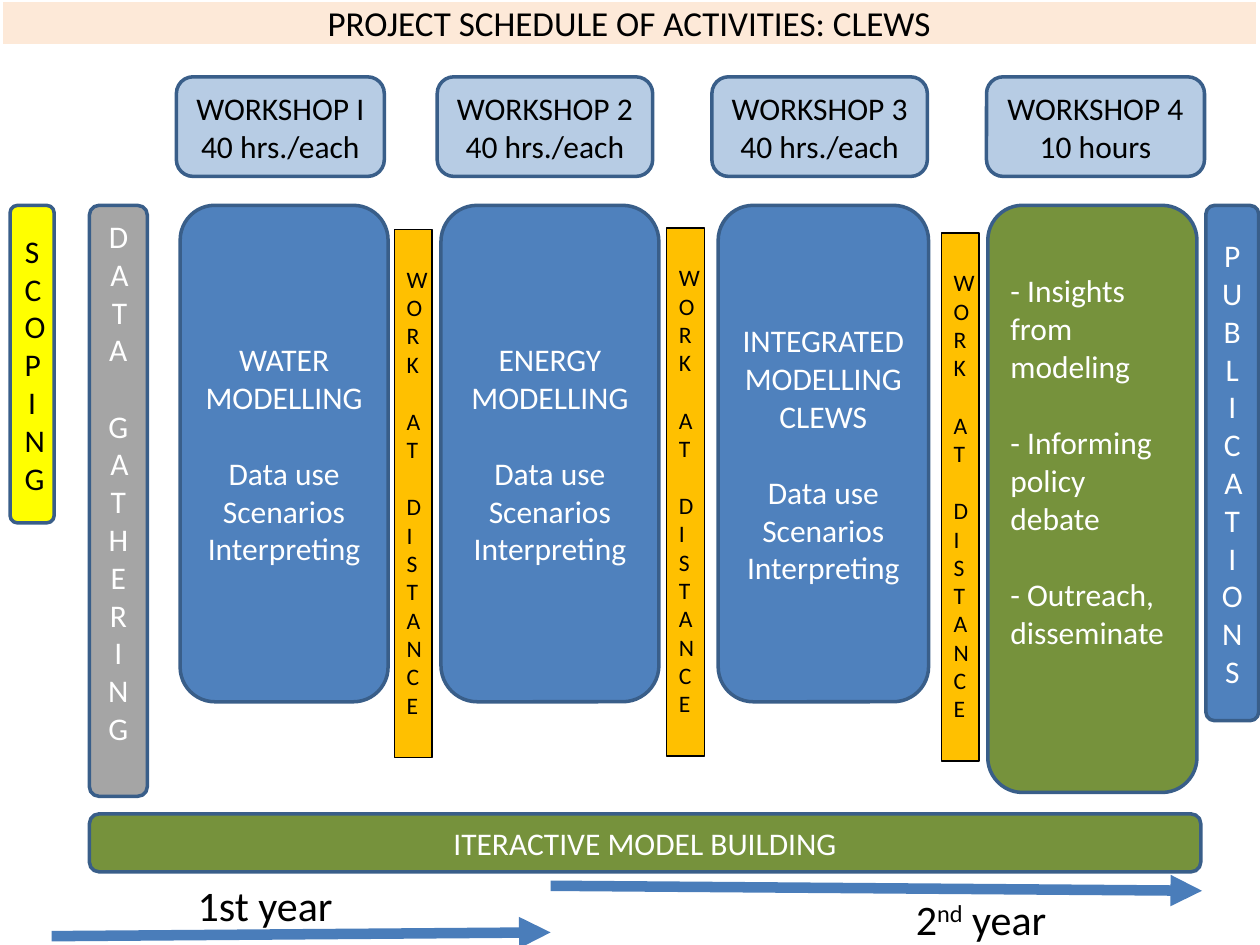
from lxml import etree
from pptx import Presentation
from pptx.dml.color import RGBColor
from pptx.enum.shapes import MSO_CONNECTOR, MSO_SHAPE
from pptx.enum.text import MSO_ANCHOR, MSO_AUTO_SIZE, PP_ALIGN
from pptx.oxml.ns import qn
from pptx.util import Inches, Pt

ROUNDED, RECTANGLE = MSO_SHAPE.ROUNDED_RECTANGLE, MSO_SHAPE.RECTANGLE
STRAIGHT = MSO_CONNECTOR.STRAIGHT
TOP, MIDDLE = MSO_ANCHOR.TOP, MSO_ANCHOR.MIDDLE
LEFT, CENTER = PP_ALIGN.LEFT, PP_ALIGN.CENTER
NO_FIT = MSO_AUTO_SIZE.NONE
TITLE_ONLY = 5
FONT = "Calibri"
LINE_HEIGHT = 1.22

COLORS = {
    "white": "FFFFFF", "black": "000000", "peach": "FDE9D8",
    "blue": "4F81BD", "pale_blue": "B7CCE4", "outline": "395E89",
    "arrow": "4A7DBA", "green": "76923C", "yellow": "FFFF00",
    "grey": "A5A5A5", "amber": "FFC000",
}

HEADER_TOP, HEADER_HEIGHT = 0.61, 0.79
STAGE_TOP, STAGE_HEIGHT = 1.63, 3.94
TASKS = ["Data use", "Scenarios", "Interpreting"]
WORKSHOPS = [
    ((1.40, 1.65), ["WORKSHOP I", "40 hrs./each"]),
    ((3.47, 1.71), ["WORKSHOP 2", "40 hrs./each"]),
    ((5.65, 1.71), ["WORKSHOP 3", "40 hrs./each"]),
    ((7.83, 1.73), ["WORKSHOP 4", "10 hours"]),
]
MODELLING_STAGES = [
    ((1.43, 1.65), "WATER MODELLING"),
    ((3.50, 1.73), "ENERGY MODELLING"),
    ((5.70, 1.67), "INTEGRATED MODELLING CLEWS"),
]
DISTANCE_WORK = [(3.13, 1.82), (5.29, 1.81), (7.47, 1.85)]
INSIGHTS = ["- Insights from modeling", "- Informing policy debate",
            "- Outreach, disseminate"]


def color(name):
    """Return the named palette colour."""
    return RGBColor.from_string(COLORS[name])


def apply_format(target, values):
    """Set each attribute in values on target."""
    for attribute, value in values.items():
        setattr(target, attribute, value)


def write_lines(frame, lines, size, ink, align=CENTER, gaps=(), anchor=MIDDLE,
                top=0.05, bottom=0.05):
    """Write one paragraph per line, with an empty line's gap before those in gaps."""
    apply_format(frame, {
        "word_wrap": True, "auto_size": NO_FIT, "vertical_anchor": anchor,
        "margin_left": Inches(0.1), "margin_right": Inches(0.1),
        "margin_top": Inches(top), "margin_bottom": Inches(bottom),
    })
    for index, line in enumerate(lines):
        paragraph = frame.paragraphs[0] if index == 0 else frame.add_paragraph()
        paragraph.alignment = align
        if index in gaps:
            paragraph.space_before = Pt(round(size * LINE_HEIGHT, 1))
        style_run(paragraph.add_run(), line, size, ink)


def style_run(run, text, size, ink):
    """Give a run its text and font."""
    run.text = text
    apply_format(run.font, {"name": FONT, "size": Pt(size)})
    run.font.color.rgb = color(ink)


def paint(shape, fill, outline, width):
    """Give a shape a solid fill and an outline."""
    shape.fill.solid()
    shape.fill.fore_color.rgb = color(fill)
    shape.line.color.rgb = color(outline)
    shape.line.width = Pt(width)


def add_box(slide, box, lines, fill, ink="white", preset=ROUNDED,
            outline="outline", width=2, size=18, **text_format):
    """Add a filled box with text."""
    shape = slide.shapes.add_shape(preset, *map(Inches, box))
    shape.shadow.inherit = False
    paint(shape, fill, outline, width)
    write_lines(shape.text_frame, lines, size, ink, **text_format)


def add_title(slide, box):
    """Place the title banner across the top."""
    title = slide.shapes.title
    apply_format(title, dict(zip(("left", "top", "width", "height"), map(Inches, box))))
    paint(title, "peach", "white", 2)
    write_lines(title.text_frame, ["PROJECT SCHEDULE OF ACTIVITIES: CLEWS"], 20, "black")


def add_modelling_stage(slide, box, subject):
    """Add a modelling stage with its tasks."""
    add_box(slide, box, [subject, *TASKS], "blue", gaps=(1,))


def add_distance_work(slide, box):
    """Add a narrow bar whose words run down letter by letter."""
    add_box(slide, box, ["WORK", "AT", "DISTANCE"], "amber", "black",
            preset=RECTANGLE, outline="black", width=0.75, size=13.5,
            align=LEFT, gaps=(1, 2), anchor=TOP, top=0.28)


def add_side_bars(slide, top):
    """Add the upright bars for the steps around the workshops."""
    add_box(slide, (0.08, top, 0.35, 2.52), ["SCOPING"], "yellow", "black")
    add_box(slide, (0.71, top, 0.46, 4.69), ["DATA", "GATHER ING"], "grey",
            gaps=(1,), bottom=0.35)
    add_box(slide, (9.57, top, 0.42, 4.09), ["PUBL ICATIONS"], "blue")


def add_year_arrow(slide, start, end):
    """Add a thick arrow that spans a year."""
    arrow = slide.shapes.add_connector(STRAIGHT, *map(Inches, (*start, *end)))
    arrow.line.color.rgb = color("arrow")
    arrow.line.width = Pt(6)
    etree.SubElement(arrow.line._get_or_add_ln(), qn("a:tailEnd"), type="triangle")
    etree.SubElement(arrow._element.spPr, qn("a:effectLst"))


def add_year_label(slide, box, number, suffix, raised=False):
    """Add a year label, with its ordinal suffix raised on request."""
    frame = slide.shapes.add_textbox(*map(Inches, box)).text_frame
    parts = [number, suffix, " year"] if raised else [number + suffix + " year"]
    write_lines(frame, parts[:1], 24, "black", align=LEFT, anchor=TOP)
    for part in parts[1:]:
        run = frame.paragraphs[0].add_run()
        style_run(run, part, 24, "black")
        if part == suffix:
            run.font._element.set("baseline", "30000")


def add_timeline(slide):
    """Add the arrows and labels of both years."""
    add_year_arrow(slide, (4.37, 7.03), (9.54, 7.07))
    add_year_arrow(slide, (0.41, 7.43), (4.37, 7.40))
    add_year_label(slide, (1.47, 6.93, 1.69, 0.5), "1", "st")
    add_year_label(slide, (7.17, 7.04, 1.69, 0.5), "2", "nd", raised=True)


def main():
    """Build the schedule slide and save it."""
    presentation = Presentation()
    apply_format(presentation, {"slide_width": Inches(10), "slide_height": Inches(7.5)})
    slide = presentation.slides.add_slide(presentation.slide_layouts[TITLE_ONLY])
    add_title(slide, (0.01, 0, 9.97, 0.36))
    for (left, width), subject in MODELLING_STAGES:
        add_modelling_stage(slide, (left, STAGE_TOP, width, STAGE_HEIGHT), subject)
    add_box(slide, (7.84, STAGE_TOP, 1.66, 4.66), INSIGHTS, "green",
            align=LEFT, gaps=(1, 2), bottom=0.65)
    for left, top in DISTANCE_WORK:
        add_distance_work(slide, (left, top, 0.3, 4.19))
    add_timeline(slide)
    for (left, width), lines in WORKSHOPS:
        add_box(slide, (left, HEADER_TOP, width, HEADER_HEIGHT), lines,
                "pale_blue", "black")
    add_side_bars(slide, STAGE_TOP)
    add_box(slide, (0.71, 6.46, 8.82, 0.46), ["ITERACTIVE MODEL BUILDING"], "green")
    presentation.save("out.pptx")


if __name__ == "__main__":
    main()
